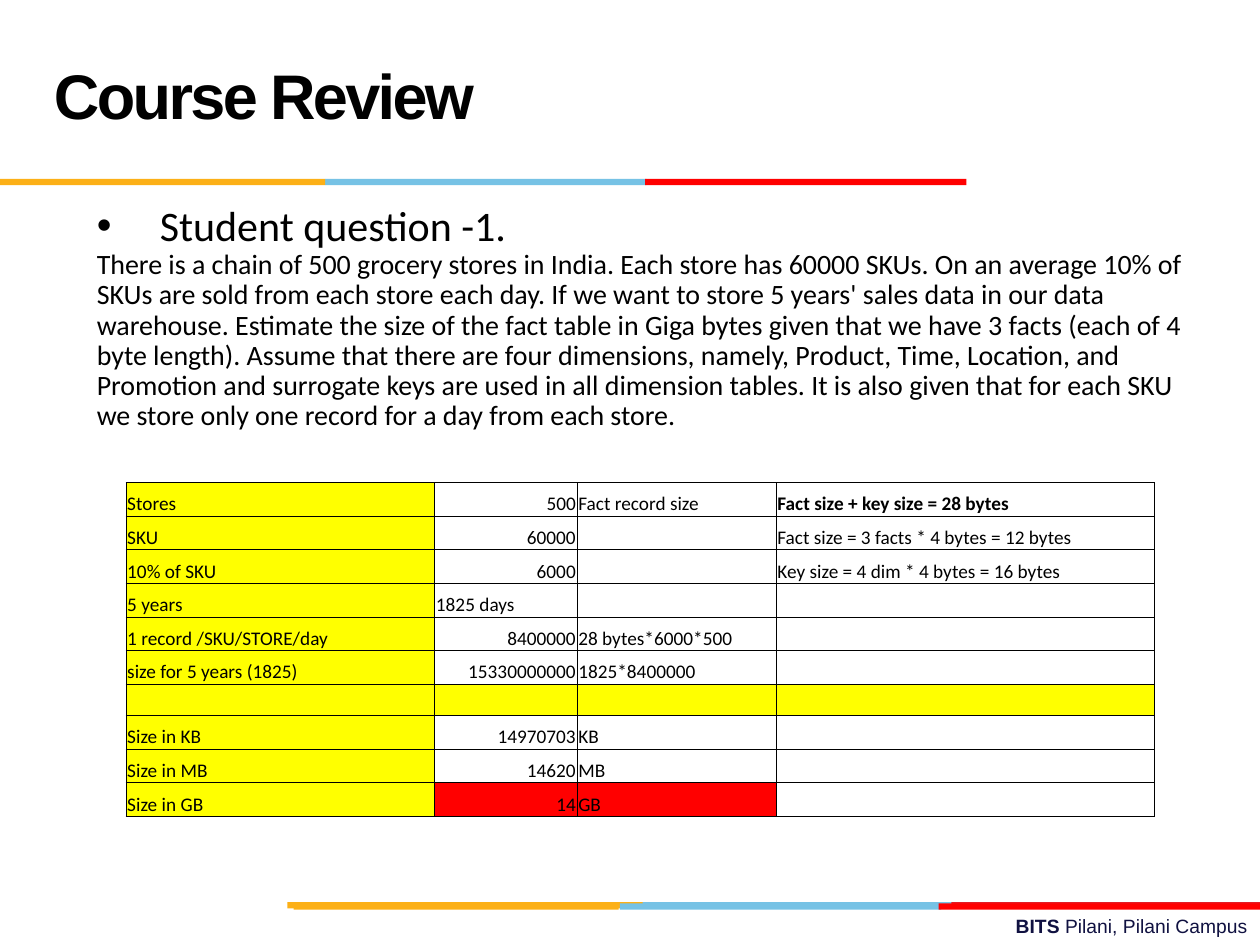
import pptx
import pptx.util
import pptx.dml.color
import pptx.enum.shapes
import pptx.enum.text
from lxml import etree
from pptx.oxml.ns import qn

Inches, Pt = pptx.util.Inches, pptx.util.Pt
RGBColor = pptx.dml.color.RGBColor
ALIGN, ANCHOR = pptx.enum.text.PP_ALIGN, pptx.enum.text.MSO_ANCHOR

BLACK = RGBColor(0x00, 0x00, 0x00)
NAVY = RGBColor(0x10, 0x11, 0x41)
GOLD = RGBColor(0xFC, 0xB0, 0x17)
SKY = RGBColor(0x76, 0xC2, 0xE5)
CRIMSON = RGBColor(0xE3, 0x1C, 0x24)
RED = RGBColor(0xFF, 0x00, 0x00)
YELLOW = RGBColor(0xFF, 0xFF, 0x00)

# Content
TITLE = "Course Review"
HEAD = "Student question -1."
BODY = (
    "There is a chain of 500 grocery stores in India. Each store has 60000 SKUs. "
    "On an average 10% of SKUs are sold from each store each day. If we want to "
    "store 5 years' sales data in our data warehouse. Estimate the size of the fact "
    "table in Giga bytes given that we have 3 facts (each of 4 byte length). Assume "
    "that there are four dimensions, namely, Product, Time, Location, and Promotion "
    "and surrogate keys are used in all dimension tables. It is also given that for "
    "each SKU we store only one record for a day from each store."
)
ROWS = [
    ("Stores", "500", "Fact record size", "Fact size + key size = 28 bytes"),
    ("SKU", "60000", "", "Fact size = 3 facts * 4 bytes = 12 bytes"),
    ("10% of SKU", "6000", "", "Key size = 4 dim * 4 bytes = 16 bytes"),
    ("5 years", "1825 days", "", ""),
    ("1 record /SKU/STORE/day", "8400000", "28 bytes*6000*500", ""),
    ("size for 5 years (1825)", "15330000000", "1825*8400000", ""),
    ("", "", "", ""),
    ("Size in KB", "14970703", "KB", ""),
    ("Size in MB", "14620", "MB", ""),
    ("Size in GB", "14", "GB", ""),
]
WIDTHS = (2.45, 1.13, 1.58, 3)
GAP, LAST = 6, len(ROWS) - 1  # blank yellow row, result row
HIGH, GAP_HIGH = 2.4 / 9, 0.25

# Stripes: top, then (left, width, colour) from back to front
STRIPES = [
    (7.16, [(5.06, 2.55, SKY), (7.55, 2.45, CRIMSON), (2.28, 2.82, GOLD)]),
    (7.17, [(4.92, 2.55, SKY), (2.33, 2.58, GOLD), (7.45, 2.55, RED)]),
    (1.42, [(2.58, 2.55, SKY), (0, 2.58, GOLD), (5.12, 2.55, RED)]),
]


def style(para, size, face, color=BLACK, bold=False):
    font = para.font
    font.size, font.name, font.bold = Pt(size), face, bold
    font.color.rgb = color


def add_text(slide, *box):
    frame = slide.shapes.add_textbox(*map(Inches, box)).text_frame
    frame.word_wrap = True
    return frame


def add_edges(cell):
    props = cell._tc.get_or_add_tcPr()
    for side in ("lnL", "lnR", "lnT", "lnB"):
        line = etree.SubElement(props, qn("a:" + side), w=str(Pt(0.5)))
        fill = etree.SubElement(line, qn("a:solidFill"))
        etree.SubElement(fill, qn("a:srgbClr"), val=str(BLACK))


def cell_fill(row, col):
    if col == 0 or row == GAP:
        return YELLOW
    return RED if row == LAST and col in (1, 2) else None


deck = pptx.Presentation()
deck.slide_width, deck.slide_height = Inches(10), Inches(7.5)
slide = deck.slides.add_slide(deck.slide_layouts[6])

# Footer
para = add_text(slide, 3.58, 7.21, 6.42, 0.29).paragraphs[0]
para.alignment = ALIGN.RIGHT
style(para, 11, "Arial", NAVY)
run = para.add_run()
run.text, run.font.bold = "BITS ", True
para.add_run().text = "Pilani, Pilani Campus"

# Stripes
for top, bars in STRIPES:
    for left, wide, color in bars:
        bar = slide.shapes.add_shape(
            pptx.enum.shapes.MSO_SHAPE.RECTANGLE,
            Inches(left), Inches(top), Inches(wide), Inches(0.05))
        bar.shadow.inherit = False
        bar.fill.solid()
        bar.fill.fore_color.rgb = color
        bar.line.fill.background()

# Title
frame = add_text(slide, 0.33, 0.17, 6.92, 1.25)
frame.vertical_anchor = ANCHOR.MIDDLE
para = frame.paragraphs[0]
para.line_spacing = Pt(36)
style(para, 36, "Arial", bold=True)
run = para.add_run()
run.text = TITLE
run._r.get_or_add_rPr().set("spc", "-150")

# Question
frame = add_text(slide, 0.67, 1.58, 8.83, 1.92)
head, body = frame.paragraphs[0], frame.add_paragraph()
props = head._p.get_or_add_pPr()
props.set("marL", str(Inches(0.5)))
props.set("indent", str(Inches(-0.5)))
etree.SubElement(props, qn("a:buFont"), typeface="Arial")
etree.SubElement(props, qn("a:buChar"), char="•")
for para, text, size in ((head, HEAD, 24), (body, BODY, 16)):
    para.text = text
    para.line_spacing = 0.9
    style(para, size, "Calibri")

# Size estimate table
table = slide.shapes.add_table(
    len(ROWS), len(WIDTHS), Inches(1), Inches(3.83),
    Inches(sum(WIDTHS)), Inches(9 * HIGH + GAP_HIGH)).table
table.first_row = table.horz_banding = False
for col, wide in enumerate(WIDTHS):
    table.columns[col].width = Inches(wide)
for row, texts in enumerate(ROWS):
    table.rows[row].height = Inches(GAP_HIGH if row == GAP else HIGH)
    for col, text in enumerate(texts):
        cell = table.cell(row, col)
        cell.margin_left = cell.margin_right = cell.margin_top = Inches(0.01)
        cell.margin_bottom = 0
        cell.vertical_anchor = ANCHOR.BOTTOM
        add_edges(cell)
        color = cell_fill(row, col)
        if color is None:
            cell.fill.background()
        else:
            cell.fill.solid()
            cell.fill.fore_color.rgb = color
        para = cell.text_frame.paragraphs[0]
        style(para, 11, "Calibri", bold=(row, col) == (0, 3))
        if text:
            para.add_run().text = text
        else:  # keeps an empty row from growing
            etree.SubElement(para._p, qn("a:endParaRPr"), sz="1100")
        if col == 1 and text.isdigit():
            para.alignment = ALIGN.RIGHT

deck.save("out.pptx")
